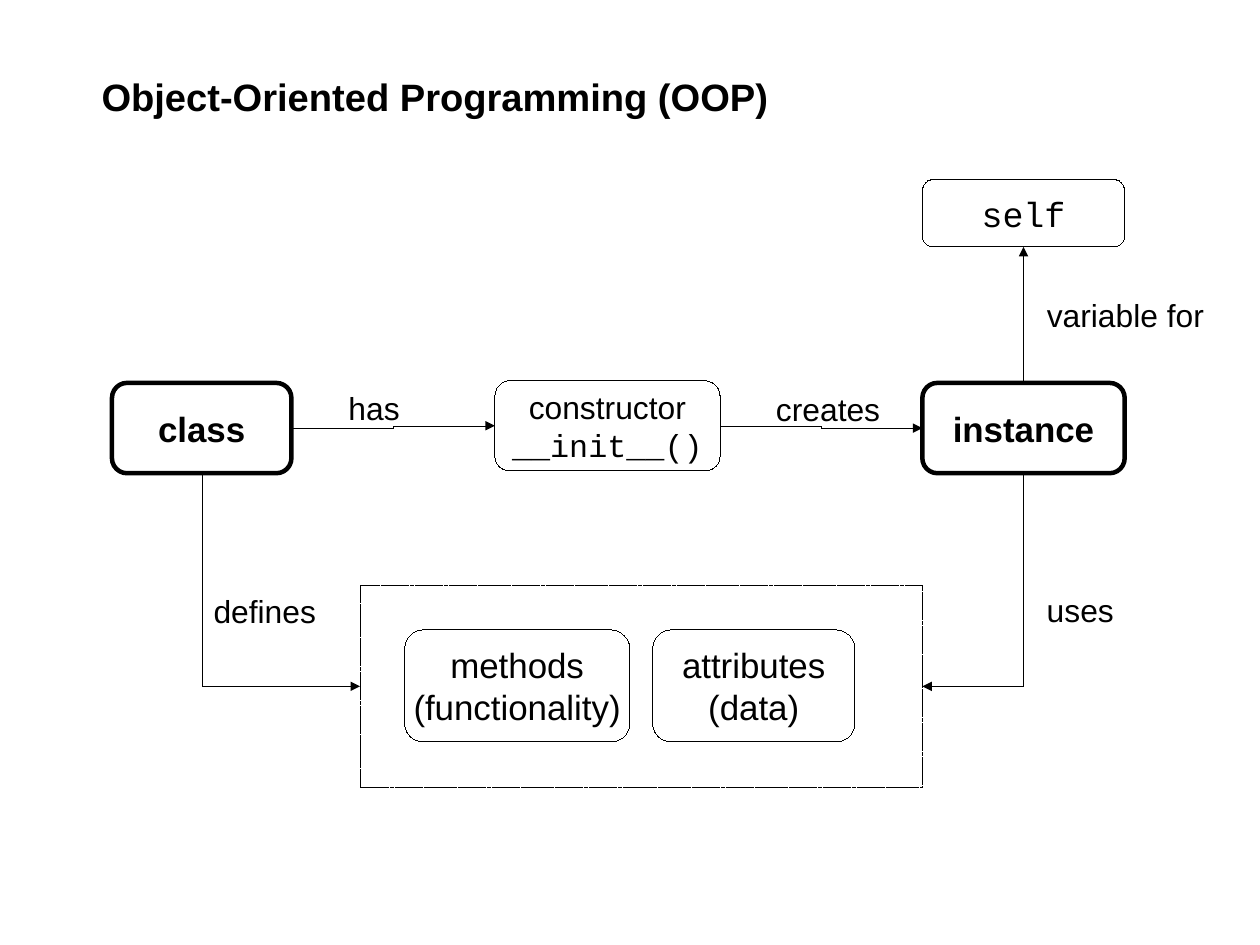
from lxml.etree import SubElement
from pptx import Presentation
from pptx.dml.color import RGBColor
from pptx.enum.dml import MSO_LINE
from pptx.enum.shapes import MSO_CONNECTOR, MSO_SHAPE
from pptx.enum.text import MSO_ANCHOR, PP_ALIGN
from pptx.oxml.ns import qn
from pptx.util import Cm, Inches, Pt

BLACK = "000000"
HAIRLINE, THICK = 0, 2.83
SANS, CODE = "Arial", "Courier New"
TOP, LEFT, BOTTOM, RIGHT = range(4)

# name: (left, top, width, height, line width, size, [(text, font), ...])
BOXES = {
    "members": (3.15, 5.12, 4.92, 1.77, HAIRLINE, 22, []),
    "class": (0.98, 3.35, 1.57, 0.79, THICK, 22, [("class", SANS)]),
    "instance": (8.07, 3.35, 1.77, 0.79, THICK, 22, [("instance", SANS)]),
    "attributes": (5.71, 5.51, 1.77, 0.98, HAIRLINE, 22,
                   [("attributes", SANS), ("(data)", SANS)]),
    "methods": (3.54, 5.51, 1.97, 0.98, HAIRLINE, 22,
                [("methods", SANS), ("(functionality)", SANS)]),
    "constructor": (4.33, 3.33, 1.97, 0.79, HAIRLINE, 20,
                    [("constructor", SANS), ("__init__()", CODE)]),
    "self": (8.07, 1.57, 1.77, 0.59, HAIRLINE, 22, [("self", CODE)]),
}

# (begin box, side, end box, side, preset, arrow end); a corner elbow leaves
# its begin box sideways, so those two start at the arrowhead
LINKS = [
    ("class", RIGHT, "constructor", LEFT, "bentConnector3", "tailEnd"),
    ("constructor", RIGHT, "instance", LEFT, "bentConnector3", "tailEnd"),
    ("members", LEFT, "class", BOTTOM, "bentConnector2", "headEnd"),
    ("members", RIGHT, "instance", BOTTOM, "bentConnector2", "headEnd"),
    ("instance", TOP, "self", BOTTOM, "line", "tailEnd"),
]

# (text, left, top, width, height, size, bold)
LABELS = [
    ("Object-Oriented Programming (OOP)", 0.79, 0.59, 8.46, 0.47, 24, True),
    ("has", 2.95, 3.35, 0.79, 0.41, 20, False),
    ("creates", 6.69, 3.36, 1.18, 0.41, 20, False),
    ("uses", 9.06, 5.12, 1.57, 0.41, 20, False),
    ("variable for", 9.06, 2.54, 1.62, 0.73, 20, False),
    ("defines", 1.77, 5.13, 1.57, 0.41, 20, False),
]


def color(hex_text):
    return RGBColor.from_string(hex_text)


def set_line(shape, width):
    """Draw a black outline; the width is written out even when it is zero."""
    shape.line.color.rgb = color(BLACK)
    line = shape._element.spPr.find(qn("a:ln"))
    line.set("w", str(int(Pt(width))))
    return line


def add_run(paragraph, text, font_name, size, bold):
    run = paragraph.add_run()
    run.text = text
    run.font.name = font_name
    run.font.size = Pt(size)
    run.font.bold = bold
    run.font.color.rgb = color(BLACK)


def add_box(slide, name):
    left, top, width, height, line_width, size, lines = BOXES[name]
    kind = MSO_SHAPE.ROUNDED_RECTANGLE if lines else MSO_SHAPE.RECTANGLE
    shape = slide.shapes.add_shape(
        kind, Inches(left), Inches(top), Inches(width), Inches(height))
    shape.shadow.inherit = False
    shape.fill.background()
    set_line(shape, line_width)
    if not lines:
        shape.line.dash_style = MSO_LINE.SQUARE_DOT
    frame = shape.text_frame
    frame.word_wrap = False
    frame.vertical_anchor = MSO_ANCHOR.MIDDLE
    for index, (text, font_name) in enumerate(lines):
        paragraph = frame.add_paragraph() if index else frame.paragraphs[0]
        paragraph.alignment = PP_ALIGN.CENTER
        add_run(paragraph, text, font_name, size, line_width == THICK)
    return shape


def add_link(slide, begin, begin_side, end, end_side, preset, arrow_end):
    straight = preset == "line"
    kind = MSO_CONNECTOR.STRAIGHT if straight else MSO_CONNECTOR.ELBOW
    connector = slide.shapes.add_connector(kind, 0, 0, 0, 0)
    connector.begin_connect(begin, begin_side)
    connector.end_connect(end, end_side)
    line = set_line(connector, HAIRLINE)
    SubElement(line, qn(f"a:{arrow_end}"), type="triangle")
    properties = connector._element.spPr
    properties.find(qn("a:prstGeom")).set("prst", preset)
    SubElement(properties, qn("a:effectLst"))


def add_label(slide, text, left, top, width, height, size, bold):
    box = slide.shapes.add_textbox(
        Inches(left), Inches(top), Inches(width), Inches(height))
    box.text_frame.word_wrap = True
    add_run(box.text_frame.paragraphs[0], text, SANS, size, bold)


def main():
    presentation = Presentation()
    presentation.slide_width = Cm(28)
    presentation.slide_height = Cm(21)
    slide = presentation.slides.add_slide(presentation.slide_layouts[6])
    shapes = {name: add_box(slide, name) for name in BOXES}
    for begin, begin_side, end, end_side, preset, arrow_end in LINKS:
        add_link(slide, shapes[begin], begin_side, shapes[end], end_side,
                 preset, arrow_end)
    for label in LABELS:
        add_label(slide, *label)
    presentation.save("out.pptx")


if __name__ == "__main__":
    main()
